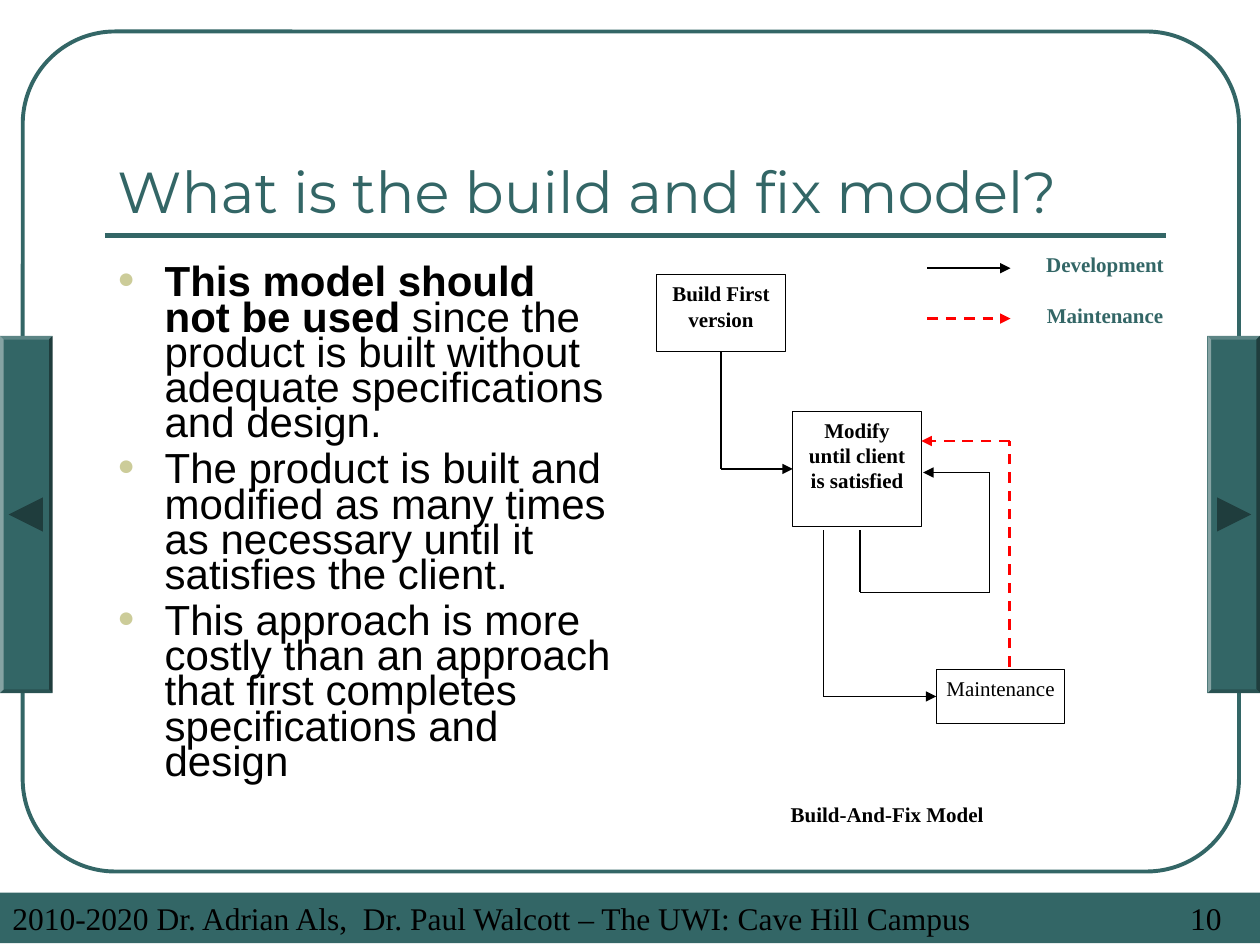
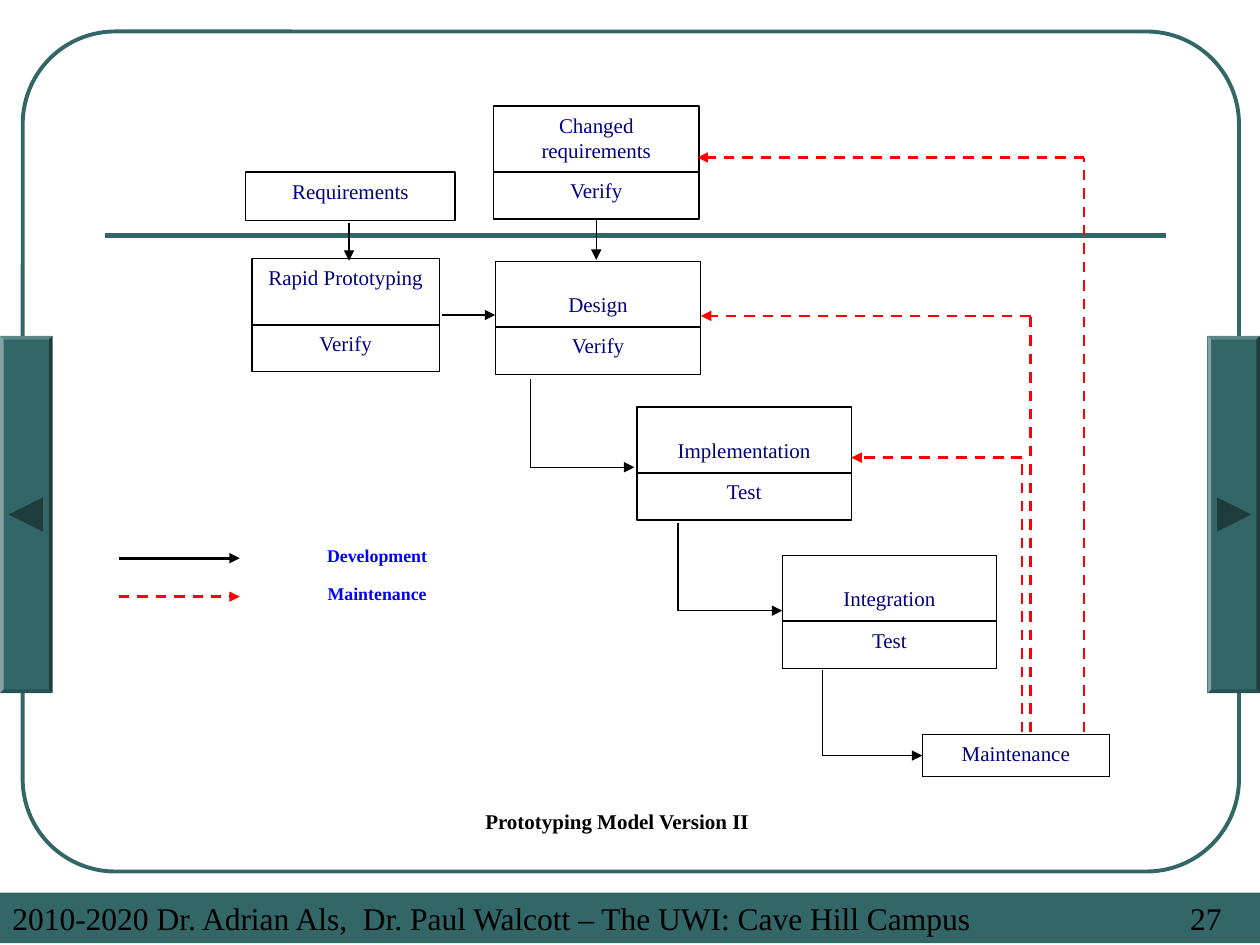
from pptx import Presentation
from pptx import util as u
from pptx.dml.color import RGBColor
from pptx.enum import dml, shapes, text
from pptx.oxml import ns, xmlchemy

Pt = u.Pt
TEAL = RGBColor(0x33, 0x66, 0x66)
TEAL_LEFT = RGBColor(0x85, 0xA3, 0xA3)
TEAL_TOP = RGBColor(0x5C, 0x85, 0x85)
TEAL_BOTTOM = RGBColor(0x29, 0x52, 0x52)
TEAL_DARK = RGBColor(0x1F, 0x3D, 0x3D)
SAND = RGBColor(0xCC, 0xCC, 0x99)
BLACK = RGBColor(0, 0, 0)
RED = RGBColor(0xFF, 0, 0)
NAVY = RGBColor(0, 0, 0x80)
BLUE = RGBColor(0, 0, 0xFF)
SERIF, SANS, TITLE = "Times New Roman", "Arial", "Montserrat"
CENTER = text.PP_ALIGN.CENTER
TOP, LEFT, BOTTOM, RIGHT = range(4)
FOOTER = "2010-2020 Dr. Adrian Als,  Dr. Paul Walcott – The UWI: Cave Hill Campus"


def apply(obj, values):
    for name, value in values.items():
        setattr(obj, name, value)


def add_xml(parent, tag, **attrs):
    el = xmlchemy.OxmlElement(tag)
    for name, value in attrs.items():
        el.set(name, value)
    parent.append(el)
    return el


class Deck:
    label = {"name": SERIF, "size": Pt(12), "color": BLACK}
    bold = {**label, "bold": True}

    def __init__(self):
        self.prs = Presentation()
        apply(self.prs, {"slide_width": Pt(720), "slide_height": Pt(540)})

    def new_slide(self, number):
        self.s = self.prs.slides.add_slide(self.prs.slide_layouts[6])
        self.shape(13, 18, 695, 480, line=TEAL, weight=2.25,
                   kind=shapes.MSO_SHAPE.ROUNDED_RECTANGLE).adjustments[0] = 0.11
        self.route((60, 134.5), (666, 134.5), color=TEAL, weight=3, arrow=False)
        sp = self.shape(0, 510, 720, 29, fill=TEAL)
        p = sp.text_frame.paragraphs[0]
        p.alignment = text.PP_ALIGN.LEFT
        tabs = add_xml(p._p.get_or_add_pPr(), "a:tabLst")
        add_xml(tabs, "a:tab", pos=str(Pt(673)), algn="l")
        self.run(p, f"{FOOTER}\t{number}", {**self.label, "size": Pt(18)})
        self.button(690, forward=True)
        self.button(0, forward=False)

    def run(self, p, words, style):
        r = p.add_run()
        r.text = words
        font = dict(style)
        r.font.color.rgb = font.pop("color")
        apply(r.font, font)

    def shape(self, x, y, w, h, fill=None, line=None, weight=0.75,
              kind=shapes.MSO_SHAPE.RECTANGLE):
        sp = self.s.shapes.add_shape(kind, Pt(x), Pt(y), Pt(w), Pt(h))
        self.paint(sp, fill, line, weight)
        apply(sp.text_frame, {"word_wrap": True,
                              "vertical_anchor": text.MSO_ANCHOR.TOP})
        return sp

    def paint(self, sp, fill, line=None, weight=0.75):
        sp.shadow.inherit = False
        for target, color in ((sp.fill, fill), (sp.line.fill, line)):
            if color is None:
                target.background()
            else:
                target.solid()
                target.fore_color.rgb = color
        if line is not None:
            sp.line.width = Pt(weight)

    def box(self, x, y, w, h, words, style, top=3.6, side=7.2):
        sp = self.shape(x, y, w, h, line=BLACK)
        apply(sp.text_frame, {"margin_top": Pt(top), "margin_left": Pt(side),
                              "margin_right": Pt(side)})
        p = sp.text_frame.paragraphs[0]
        p.alignment = CENTER
        self.run(p, words, style)
        return sp

    def text(self, x, y, w, h, words, style, **paragraph):
        tf = self.frame(x, y, w, h)
        p = tf.paragraphs[0]
        apply(p, paragraph)
        self.run(p, words, style)
        return tf

    def frame(self, x, y, w, h):
        tf = self.s.shapes.add_textbox(Pt(x), Pt(y), Pt(w), Pt(h)).text_frame
        tf.word_wrap = True
        return tf

    def title(self, words):
        tf = self.text(60, 42, 606, 90, words,
                       {"name": TITLE, "size": Pt(33), "color": TEAL})
        tf.vertical_anchor = text.MSO_ANCHOR.BOTTOM

    def bullets(self, x, y, w, h, items):
        tf = self.frame(x, y, w, h)
        for i, (strong, plain) in enumerate(items):
            p = tf.add_paragraph() if i else tf.paragraphs[0]
            pPr = p._p.get_or_add_pPr()
            pPr.set("marL", str(Pt(27)))
            pPr.set("indent", str(-Pt(27)))
            add_xml(add_xml(pPr, "a:buClr"), "a:srgbClr", val=str(SAND))
            add_xml(pPr, "a:buSzPct", val="70000")
            add_xml(pPr, "a:buFont", typeface=SANS)
            add_xml(pPr, "a:buChar", char="●")
            apply(p, {"line_spacing": 0.7, "space_before": Pt(6 if i else 0)})
            for words, bold in ((strong, True), (plain, False)):
                if words:
                    self.run(p, words, {"name": SANS, "size": Pt(24),
                                        "color": BLACK, "bold": bold})

    def route(self, *points, color=BLACK, weight=0.75, dash=False, arrow=True,
              begin=None, end=None):
        last = len(points) - 2
        for i, (a, b) in enumerate(zip(points, points[1:])):
            c = self.s.shapes.add_connector(shapes.MSO_CONNECTOR.STRAIGHT,
                                            *map(Pt, a + b))
            c.line.color.rgb = color
            c.line.width = Pt(weight)
            if dash:
                c.line.dash_style = dml.MSO_LINE.DASH
            spPr = c.element.spPr
            if arrow and i == last:
                add_xml(spPr.find(ns.qn("a:ln")), "a:tailEnd", type="triangle")
            add_xml(spPr, "a:effectLst")
            if begin and i == 0:
                c.begin_connect(*begin)
            if end and i == last:
                c.end_connect(*end)

    def maintenance(self, *points):
        self.route(*points, color=RED, weight=1.5, dash=True)

    def polygon(self, points, fill):
        pts = [(Pt(x), Pt(y)) for x, y in points]
        fb = self.s.shapes.build_freeform(*pts[0], scale=1.0)
        fb.add_line_segments(pts[1:], close=True)
        self.paint(fb.convert_to_shape(), fill)

    def button(self, x, forward):
        y, w, h, edge = 192, 30, 204, 2
        outer = [(x, y), (x + w, y), (x + w, y + h), (x, y + h)]
        inner = [(x + edge, y + edge), (x + w - edge, y + edge),
                 (x + w - edge, y + h - edge), (x + edge, y + h - edge)]
        self.polygon(outer, TEAL)
        for i, shade in enumerate((TEAL_TOP, TEAL_DARK, TEAL_BOTTOM, TEAL_LEFT)):
            j = (i + 1) % 4
            self.polygon([outer[i], outer[j], inner[j], inner[i]], shade)
        back, tip = (5.5, 25) if forward else (24.5, 5)
        mid = y + h / 2
        self.polygon([(x + back, mid - 9.75), (x + tip, mid),
                      (x + back, mid + 9.75)], TEAL_DARK)

    def legend(self, x, y, length, gap, label_box, style, **paragraph):
        self.route((x, y), (x + length, y), weight=1.5)
        self.maintenance((x, y + gap), (x + length, y + gap))
        lx, ly, w, h = label_box
        for i, words in enumerate(("Development", "Maintenance")):
            self.text(lx, ly + i * gap, w, h, words, style,
                      alignment=CENTER, **paragraph)

    def caption(self, x, y, w, h, words):
        self.text(x, y, w, h, words, self.bold, alignment=CENTER)


def build_and_fix(d):
    d.new_slide(10)
    d.title("What is the build and fix model?")
    d.bullets(60, 150, 297, 318, [
        ("This model should not be used",
         " since the product is built without adequate specifications and design."),
        ("", "The product is built and modified as many times as necessary "
             "until it satisfies the client."),
        ("", "This approach is more costly than an approach that first "
             "completes specifications and design")])
    first = d.box(375, 157, 74, 44, "Build First version", d.bold)
    modify = d.box(453, 235, 73.5, 66, "Modify until client is satisfied", d.bold)
    upkeep = d.box(535, 382.5, 73.5, 31, "Maintenance", d.label, side=3.6)
    d.route((412, 201), (412, 268), (453, 268),
            begin=(first, BOTTOM), end=(modify, LEFT))
    d.route((491.5, 303), (491.5, 338.5), (565.5, 338.5), (565.5, 270), (527.5, 270))
    d.route((470.5, 303), (470.5, 398), (535, 398), end=(upkeep, LEFT))
    d.maintenance((577, 381), (577, 252), (526.5, 252))
    d.legend(530, 153.25, 47.5, 28.8, (584, 140.25, 95, 26),
             {**d.bold, "color": TEAL})
    d.caption(330, 454.25, 354, 44, "Build-And-Fix Model")


def prototyping(d):
    d.new_slide(27)
    style = {**d.label, "color": NAVY}
    d.caption(39.5, 458.5, 626.5, 34, "Prototyping Model Version II")
    needs = d.box(140.5, 98.25, 119.5, 28, "Requirements", style)
    upkeep = d.box(527, 419.75, 107, 24, "Maintenance", style)
    stages = {}
    for name, check, x, y, w, top in (
            ("Changed requirements", "Verify", 282, 60.5, 117.5, 3.6),
            ("Rapid Prototyping", "Verify", 144, 147.75, 107, 3.6),
            ("Design", "Verify", 283, 149.25, 117.5, 17.6),
            ("Implementation", "Test", 364, 232.5, 122.5, 17.6),
            ("Integration", "Test", 447, 317.25, 122.5, 17.6)):
        stages[name] = (d.box(x, y, w, 38, name, style, top=top),
                        d.box(x, y + 37.5, w, 27.25, check, style))
    d.route((199.5, 127.5), (199.5, 149))
    d.route((340.75, 125.5), (340.75, 148.5),
            begin=(stages["Changed requirements"][1], BOTTOM))
    d.route((252.5, 180), (283, 180))
    d.route((303, 216.5), (303, 267), (362.5, 267))
    d.route((387.5, 299), (387.5, 349), (447, 349))
    d.route((470, 383), (470, 431.75), (527, 431.75), end=(upkeep, LEFT))
    for x, y, tip in ((619.5, 90, 398.5), (584, 261.5, 486.5), (589, 180.5, 400.5)):
        d.maintenance((x, 418.5), (x, y), (tip, y))
    d.legend(68, 319, 69, 22, (146.5, 309, 138, 20),
             {**d.bold, "size": Pt(10.2), "color": BLUE}, line_spacing=0.9)


def main():
    d = Deck()
    build_and_fix(d)
    prototyping(d)
    d.prs.save("out.pptx")


if __name__ == "__main__":
    main()
